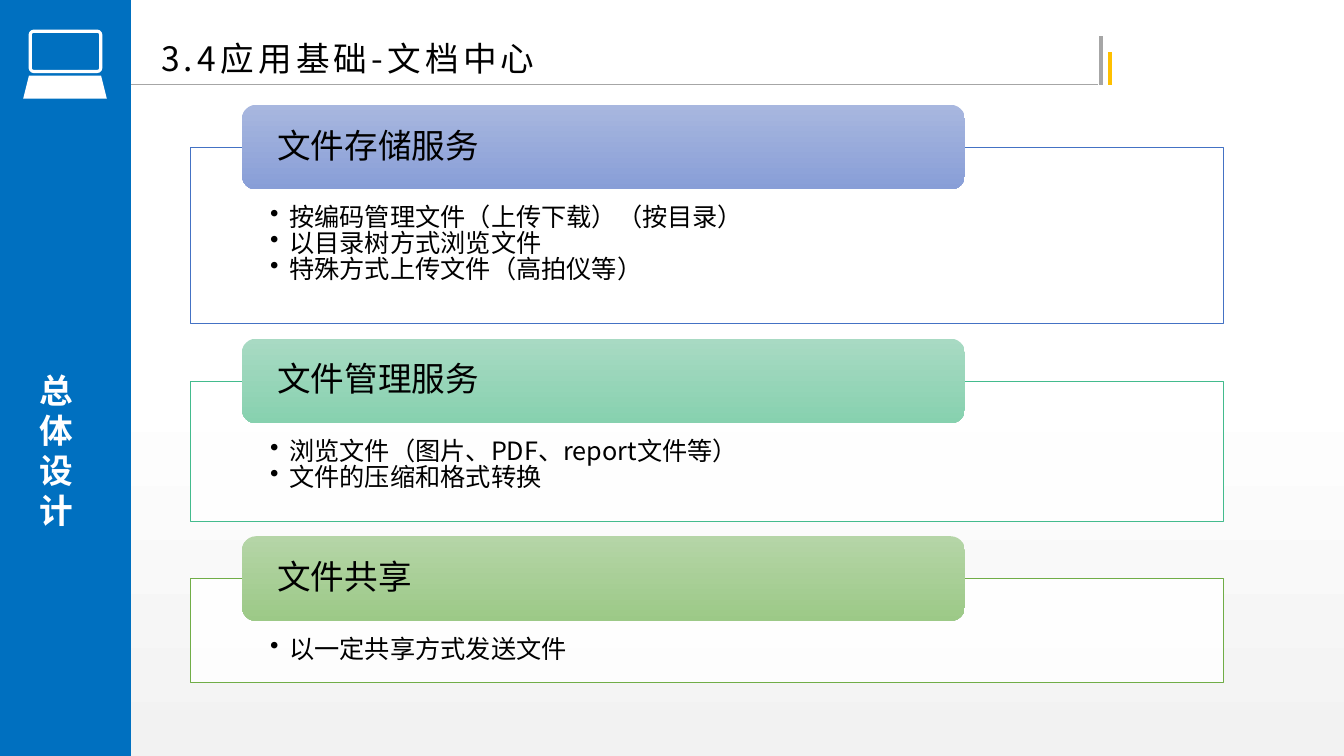
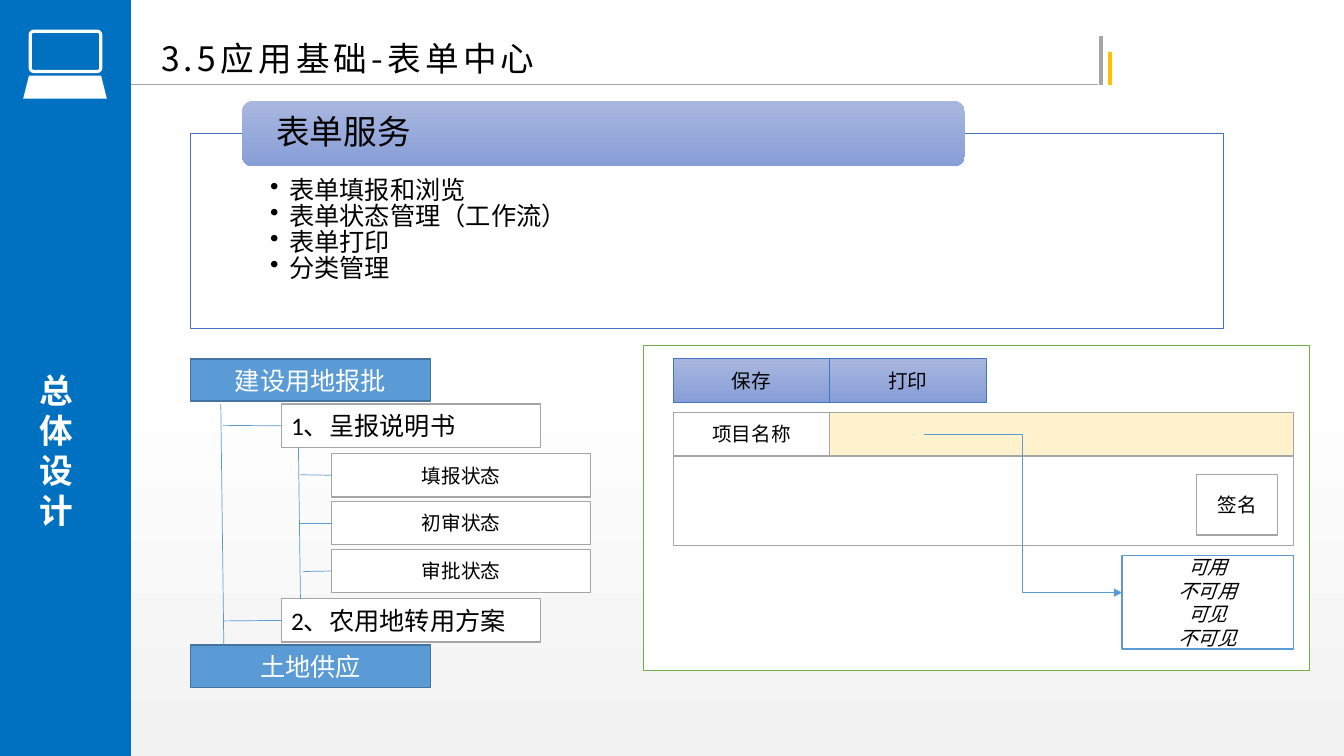
import pptx
import pptx.dml.color
import pptx.enum.shapes
import pptx.enum.text
import pptx.oxml.ns
import pptx.util
from dataclasses import dataclass
from typing import Any, Optional

import lxml.etree

Inches = pptx.util.Inches
Pt = pptx.util.Pt
Shape = pptx.enum.shapes.MSO_SHAPE
Connector = pptx.enum.shapes.MSO_CONNECTOR
Align = pptx.enum.text.PP_ALIGN
Anchor = pptx.enum.text.MSO_ANCHOR
qn = pptx.oxml.ns.qn


@dataclass(frozen=True)
class Theme:
    # Colours
    white: str = "FFFFFF"
    black: str = "000000"
    band: str = "0070C0"
    rule: str = "A6A6A6"
    accent: str = "FFC000"
    page_end: str = "F2F2F2"
    blue: str = "5B9BD5"
    blue_edge: str = "43739E"
    grey: str = "A5A5A5"
    cream: str = "FFF2CC"
    indigo: str = "4472C4"
    teal: str = "43BB8D"
    green: str = "70AD47"
    indigo_fade: tuple[str, str] = ("A8B7DF", "889ED7")
    teal_fade: tuple[str, str] = ("A8DAC3", "87D1AF")
    green_fade: tuple[str, str] = ("B5D5A7", "9CC987")
    # Type
    heading_font: str = "Noto Sans CJK SC"
    body_font: str = "Calibri"
    heading: float = 24
    body: float = 18
    small: float = 14


THEME = Theme()


@dataclass(frozen=True)
class Rect:
    left: float
    top: float
    width: float
    height: float

    def lengths(self) -> list[int]:
        return [Inches(v) for v in (self.left, self.top, self.width, self.height)]


@dataclass(frozen=True)
class Card:
    heading: str
    points: tuple[str, ...]
    panel_height: float
    edge: str
    fade: tuple[str, str]


@dataclass(frozen=True)
class Cell:
    rect: Rect
    text: str = ""
    size: float = THEME.small
    fill: Any = THEME.white
    edge: str = THEME.grey
    edge_width: float = 1
    color: str = THEME.black
    align: Any = Align.CENTER
    italic: bool = False


@dataclass(frozen=True)
class Branch:
    start: tuple[float, float]
    end: tuple[float, float]
    target: Optional[str] = None


# Basic helpers
def rgb(value: str) -> Any:
    return pptx.dml.color.RGBColor.from_string(value)


def apply(target: Any, values: dict[str, Any]) -> None:
    for name, value in values.items():
        setattr(target, name, value)


def paint(fill: Any, color: Any, start: float = 0) -> None:
    """Fill with one colour, or with a downward fade between two."""
    if isinstance(color, str):
        fill.solid()
        fill.fore_color.rgb = rgb(color)
        return
    fill.gradient()
    fill.gradient_angle = 270
    for stop, value, position in zip(fill.gradient_stops, color, (start, 1)):
        stop.color.rgb = rgb(value)
        stop.position = position


def add_shape(page: Any, kind: Any, rect: Rect, fill: Any,
              edge: Optional[str] = None, edge_width: float = 1) -> Any:
    shape = page.shapes.add_shape(kind, *rect.lengths())
    shape.shadow.inherit = False
    paint(shape.fill, fill)
    if edge:
        shape.line.color.rgb = rgb(edge)
        shape.line.width = Pt(edge_width)
    else:
        shape.line.fill.background()
    return shape


def add_line(page: Any, start: tuple[float, float], end: tuple[float, float],
             color: str, width: float, kind: Any = Connector.STRAIGHT) -> Any:
    line = page.shapes.add_connector(kind, *[Inches(v) for v in start + end])
    line.line.color.rgb = rgb(color)
    line.line.width = Pt(width)
    lxml.etree.SubElement(line._element.spPr, qn("a:effectLst"))
    return line


def write(box: Any, lines: tuple[str, ...], frame_format: dict[str, Any],
          para_format: dict[str, Any], font_format: dict[str, Any],
          color: str = THEME.black, bullet: bool = False, spacing: float = 0) -> None:
    frame = box.text_frame
    apply(frame, {"word_wrap": True, **frame_format})
    for index, line in enumerate(lines):
        para = frame.paragraphs[0] if index == 0 else frame.add_paragraph()
        apply(para, {"alignment": Align.LEFT, **para_format})
        if bullet:
            properties = para._p.get_or_add_pPr()
            properties.set("marL", str(Inches(0.19)))
            properties.set("indent", str(Inches(-0.19)))
            lxml.etree.SubElement(properties, qn("a:buChar")).set("char", "•")
        span = para.add_run()
        span.text = line
        apply(span.font, font_format)
        span.font.color.rgb = rgb(color)
        properties = span._r.get_or_add_rPr()
        lxml.etree.SubElement(properties, qn("a:ea")).set("typeface", THEME.heading_font)
        if spacing:
            properties.set("spc", str(int(spacing * 100)))


HEADING = {"name": THEME.heading_font, "size": Pt(THEME.heading)}
SIDE_INSETS = {"margin_top": 0, "margin_bottom": 0,
               "margin_left": Inches(0.31), "margin_right": Inches(0.31)}


# Parts found on every page
def add_page(deck: Any, title: str) -> Any:
    page = deck.slides.add_slide(deck.slide_layouts[6])
    paint(page.background.fill, (THEME.white, THEME.page_end), start=0.5)
    add_line(page, (0, 0.84), (10.89, 0.84), THEME.rule, 0.5)
    add_line(page, (10.92, 0.84), (10.92, 0.36), THEME.rule, 3)
    add_line(page, (11.01, 0.84), (11.01, 0.52), THEME.accent, 3)
    add_shape(page, Shape.RECTANGLE, Rect(0, 0, 1.3, 7.5), THEME.band)

    # Upright section name
    section = page.shapes.add_textbox(*Rect(0.29, 1.43, 0.72, 6.07).lengths())
    write(section, ("总体设计",), {"vertical_anchor": Anchor.MIDDLE}, {},
          {**HEADING, "bold": True}, THEME.white)
    section.text_frame._txBody.bodyPr.set("vert", "wordArtVertRtl")

    # Laptop
    screen = add_shape(page, Shape.ROUNDED_RECTANGLE, Rect(0.3, 0.31, 0.7, 0.4),
                       THEME.band, THEME.white, 2.25)
    screen.adjustments[0] = 0.09
    add_shape(page, Shape.TRAPEZOID, Rect(0.23, 0.75, 0.83, 0.23), THEME.white)

    heading = page.shapes.add_textbox(*Rect(1.5, 0.28, 6.82, 0.55).lengths())
    write(heading, (title,), {"vertical_anchor": Anchor.BOTTOM},
          {"line_spacing": 0.9}, HEADING, spacing=3)
    return page


# Panels with a heading bar that straddles the top edge
def add_cards(page: Any, cards: tuple[Card, ...], top: float, bar_height: float) -> None:
    for card in cards:
        panel_top = top + bar_height / 2
        panel = add_shape(page, Shape.RECTANGLE,
                          Rect(1.89, panel_top, 10.24, card.panel_height),
                          THEME.white, card.edge, 0.5)
        color = panel._element.spPr.find(qn("a:solidFill"))[0]
        lxml.etree.SubElement(color, qn("a:alpha")).set("val", "90000")
        write(panel, card.points,
              {"vertical_anchor": Anchor.TOP, "margin_left": Inches(0.79),
               "margin_right": Inches(0.79), "margin_top": Inches(bar_height * 0.7),
               "margin_bottom": Inches(0.14)},
              {"line_spacing": 0.85},
              {"name": THEME.heading_font, "size": Pt(THEME.body)}, bullet=True)
        bar = add_shape(page, Shape.ROUNDED_RECTANGLE,
                        Rect(2.4, top, 7.17, bar_height), card.fade)
        write(bar, (card.heading,), {"vertical_anchor": Anchor.MIDDLE, **SIDE_INSETS},
              {"line_spacing": 0.9}, HEADING)
        top = panel_top + card.panel_height + 0.15


def add_cell(page: Any, cell: Cell) -> Any:
    shape = add_shape(page, Shape.RECTANGLE, cell.rect, cell.fill, cell.edge, cell.edge_width)
    if cell.text:
        write(shape, tuple(cell.text.split("\n")), {"vertical_anchor": Anchor.MIDDLE},
              {"alignment": cell.align},
              {"name": THEME.body_font, "size": Pt(cell.size), "italic": cell.italic},
              cell.color)
    return shape


# Tree of forms and their states
def add_form_tree(page: Any) -> None:
    boxes: dict[str, Any] = {}
    for text, top in (("建设用地报批", 3.56), ("土地供应", 6.4)):
        add_cell(page, Cell(Rect(1.89, top, 2.38, 0.42), text, THEME.body,
                            THEME.blue, THEME.blue_edge, color=THEME.white))
    for text, top in (("1、呈报说明书", 4.01), ("2、农用地转用方案", 5.94)):
        boxes[text] = add_cell(page, Cell(Rect(2.79, top, 2.57, 0.43), text,
                                          THEME.body, align=Align.LEFT))
    for row, text in enumerate(("填报状态", "初审状态", "审批状态")):
        boxes[text] = add_cell(page, Cell(Rect(3.29, 4.5 + row * 0.475, 2.57, 0.43), text))
    for branch in (
        Branch((2.19, 4.01), (2.22, 6.4)),
        Branch((2.21, 4.22), (2.79, 4.22), "1、呈报说明书"),
        Branch((2.22, 6.16), (2.79, 6.16), "2、农用地转用方案"),
        Branch((2.96, 4.44), (2.98, 5.94)),
        Branch((2.98, 4.71), (3.29, 4.71), "填报状态"),
        Branch((2.98, 5.19), (3.29, 5.19), "初审状态"),
        Branch((3.01, 5.67), (3.29, 5.67), "审批状态"),
    ):
        line = add_line(page, branch.start, branch.end, THEME.blue, 0.5)
        if branch.target:
            line.end_connect(boxes[branch.target], 1)


# Sketch of a form with its field states
def add_form_sketch(page: Any) -> None:
    left, column, row = 6.68, 1.55, 0.43
    button = {"fill": THEME.indigo_fade, "edge": THEME.indigo, "edge_width": 0.5}
    for cell in (
        Cell(Rect(6.38, 3.43, 6.61, 3.22), edge=THEME.green),
        Cell(Rect(left, 4.09, column, row), "项目名称"),
        Cell(Rect(left + column, 4.09, 4.6, row), fill=THEME.cream),
        Cell(Rect(left, 3.56, column, row), "保存", **button),
        Cell(Rect(left + column, 3.56, column, row), "打印", **button),
        Cell(Rect(left, 4.53, column + 4.6, 0.88)),
        Cell(Rect(11.87, 4.71, 0.8, 0.6), "签名"),
        Cell(Rect(11.13, 5.51, 1.7, 0.93), "可用\n不可用\n可见\n不可见",
             edge=THEME.blue, italic=True),
    ):
        add_cell(page, cell)
    arrow = add_line(page, (9.16, 4.31), (11.13, 5.88), THEME.blue, 0.5, Connector.ELBOW)
    tail = lxml.etree.SubElement(arrow.line._get_or_add_ln(), qn("a:tailEnd"))
    tail.set("type", "triangle")


def main() -> None:
    deck = pptx.Presentation()
    apply(deck, {"slide_width": Inches(13.33), "slide_height": Inches(7.5)})

    # Document centre
    page = add_page(deck, "3.4应用基础-文档中心")
    add_cards(page, (
        Card("文件存储服务", ("按编码管理文件（上传下载）（按目录）", "以目录树方式浏览文件",
                        "特殊方式上传文件（高拍仪等）"), 1.75, THEME.indigo, THEME.indigo_fade),
        Card("文件管理服务", ("浏览文件（图片、PDF、report文件等）", "文件的压缩和格式转换"),
             1.39, THEME.teal, THEME.teal_fade),
        Card("文件共享", ("以一定共享方式发送文件",), 1.03, THEME.green, THEME.green_fade),
    ), 1.04, 0.84)

    # Form centre
    page = add_page(deck, "3.5应用基础-表单中心")
    add_cards(page, (
        Card("表单服务", ("表单填报和浏览", "表单状态管理（工作流）", "表单打印", "分类管理"),
             1.93, THEME.indigo, THEME.indigo_fade),
    ), 1, 0.65)
    add_form_tree(page)
    add_form_sketch(page)
    deck.save("out.pptx")


if __name__ == "__main__":
    main()
